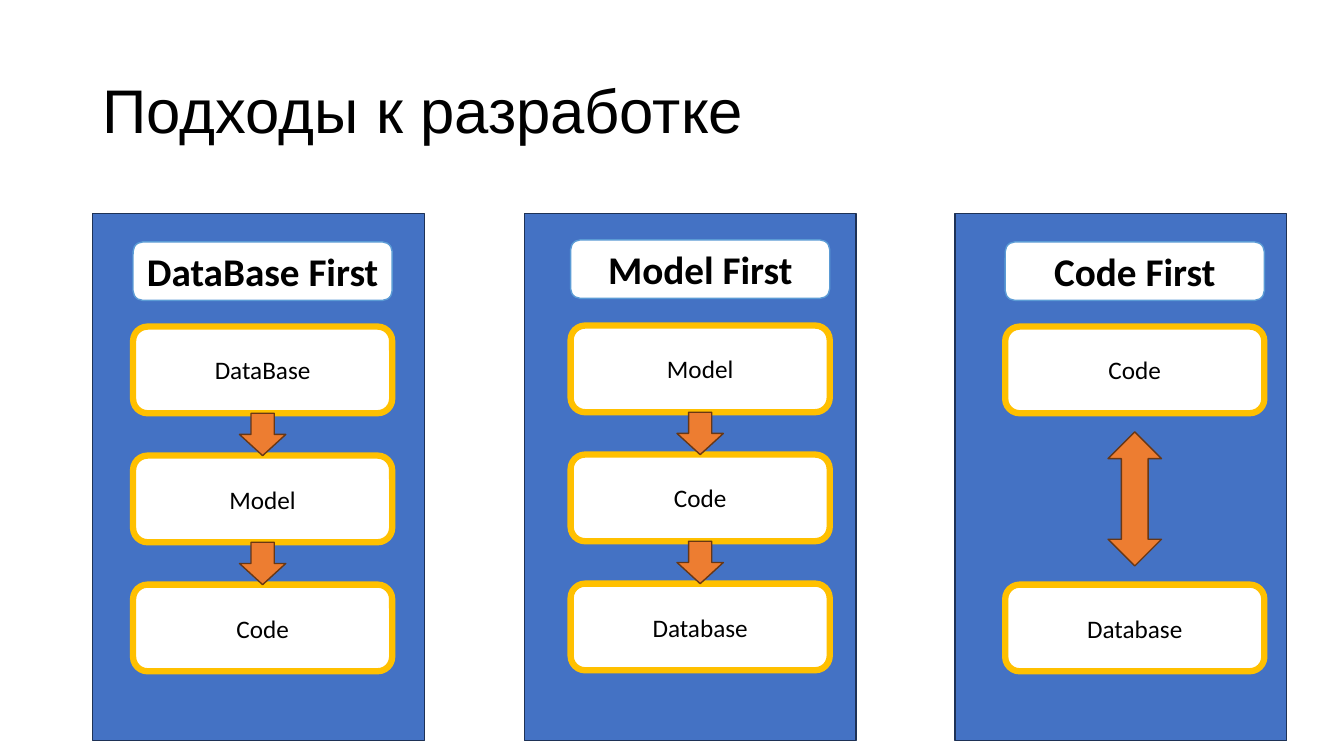
from pptx import Presentation
from pptx.dml.color import RGBColor
from pptx.enum.shapes import MSO_SHAPE
from pptx.enum.text import MSO_ANCHOR, PP_ALIGN
from pptx.util import Emu, Pt

RECTANGLE = MSO_SHAPE.RECTANGLE
ROUNDED = MSO_SHAPE.ROUNDED_RECTANGLE
DOWN_ARROW = MSO_SHAPE.DOWN_ARROW
DOUBLE_ARROW = MSO_SHAPE.LEFT_RIGHT_ARROW
MIDDLE = MSO_ANCHOR.MIDDLE
LEFT, CENTER = PP_ALIGN.LEFT, PP_ALIGN.CENTER

EMU_PER_PX = 9144  # 100 px to the inch
COLORS = {
    "text": "000000",
    "white": "FFFFFF",
    "panel": "4472C4",
    "panel_line": "1E3256",
    "heading_line": "5B9BD5",
    "step_line": "FFC000",
    "arrow": "ED7D31",
    "arrow_line": "683715",
}

PANEL_TOP, PANEL_WIDTH, PANEL_HEIGHT = 212, 329, 523
BOX_WIDTH, HEADING_HEIGHT, STEP_HEIGHT = 257, 58, 86
STEP_PITCH = 128
STEP_GAP = STEP_PITCH - STEP_HEIGHT
ARROW_WIDTH = 46
DOUBLE_LENGTH, DOUBLE_THICKNESS = 133, 53

# Panel left, box left, heading top, first step top, heading, steps by row
APPROACHES = [
    (92, 132, 240, 324, "DataBase First", ["DataBase", "Model", "Code"]),
    (520, 566, 238, 323, "Model First", ["Model", "Code", "Database"]),
    (947, 997, 240, 324, "Code First", ["Code", None, "Database"]),
]


def px(*lengths):
    return [Emu(round(length * EMU_PER_PX)) for length in lengths]


def color(name):
    return RGBColor.from_string(COLORS[name])


def write(box, text, size, font="Calibri", bold=False, align=CENTER, spacing=1.0, wrap=False):
    frame = box.text_frame
    frame.word_wrap = wrap
    frame.vertical_anchor = MIDDLE
    para = frame.paragraphs[0]
    para.alignment = align
    para.line_spacing = spacing
    span = para.add_run()
    span.text = text
    span.font.name = font
    span.font.size = Pt(size)
    span.font.bold = bold
    span.font.color.rgb = color("text")


def add_box(page, kind, bounds, fill, line, line_width=1):
    box = page.shapes.add_shape(kind, *px(*bounds))
    box.shadow.inherit = False
    box.fill.solid()
    box.fill.fore_color.rgb = color(fill)
    box.line.color.rgb = color(line)
    box.line.width = Pt(line_width)
    return box


def add_title(page, text):
    box = page.shapes.add_textbox(*px(92, 40, 1036, 145))
    write(box, text, 44, font="Arial", align=LEFT, spacing=0.9, wrap=True)


def add_step(page, left, top, text):
    bounds = (left, top, BOX_WIDTH, STEP_HEIGHT)
    write(add_box(page, ROUNDED, bounds, "white", "step_line", 4.5), text, 18)


def add_down_arrow(page, center, top):
    bounds = (center - ARROW_WIDTH / 2, top, ARROW_WIDTH, STEP_GAP)
    add_box(page, DOWN_ARROW, bounds, "arrow", "arrow_line")


def add_double_arrow(page, center, middle):
    bounds = (center - DOUBLE_LENGTH / 2, middle - DOUBLE_THICKNESS / 2,
              DOUBLE_LENGTH, DOUBLE_THICKNESS)
    add_box(page, DOUBLE_ARROW, bounds, "arrow", "arrow_line").rotation = 270


def add_approach(page, panel_left, box_left, heading_top, first_top, heading, steps):
    """Draw a panel; a None step is a row bridged by the two-way arrow."""
    panel = (panel_left, PANEL_TOP, PANEL_WIDTH, PANEL_HEIGHT)
    add_box(page, RECTANGLE, panel, "panel", "panel_line")
    center = box_left + BOX_WIDTH / 2
    tops = [first_top + row * STEP_PITCH for row in range(len(steps))]

    for top, step in zip(tops, steps):
        if step:
            add_step(page, box_left, top, step)
        else:
            add_double_arrow(page, center, top + STEP_HEIGHT / 2)
    for top, step, following in zip(tops, steps, steps[1:]):
        if step and following:
            add_down_arrow(page, center, top + STEP_HEIGHT)

    bounds = (box_left, heading_top, BOX_WIDTH, HEADING_HEIGHT)
    write(add_box(page, ROUNDED, bounds, "white", "heading_line"), heading, 28, bold=True)


def main():
    deck = Presentation()
    deck.slide_width, deck.slide_height = px(1333, 750)
    page = deck.slides.add_slide(deck.slide_layouts[6])
    add_title(page, "Подходы к разработке")
    for approach in APPROACHES:
        add_approach(page, *approach)
    deck.save("out.pptx")


if __name__ == "__main__":
    main()
